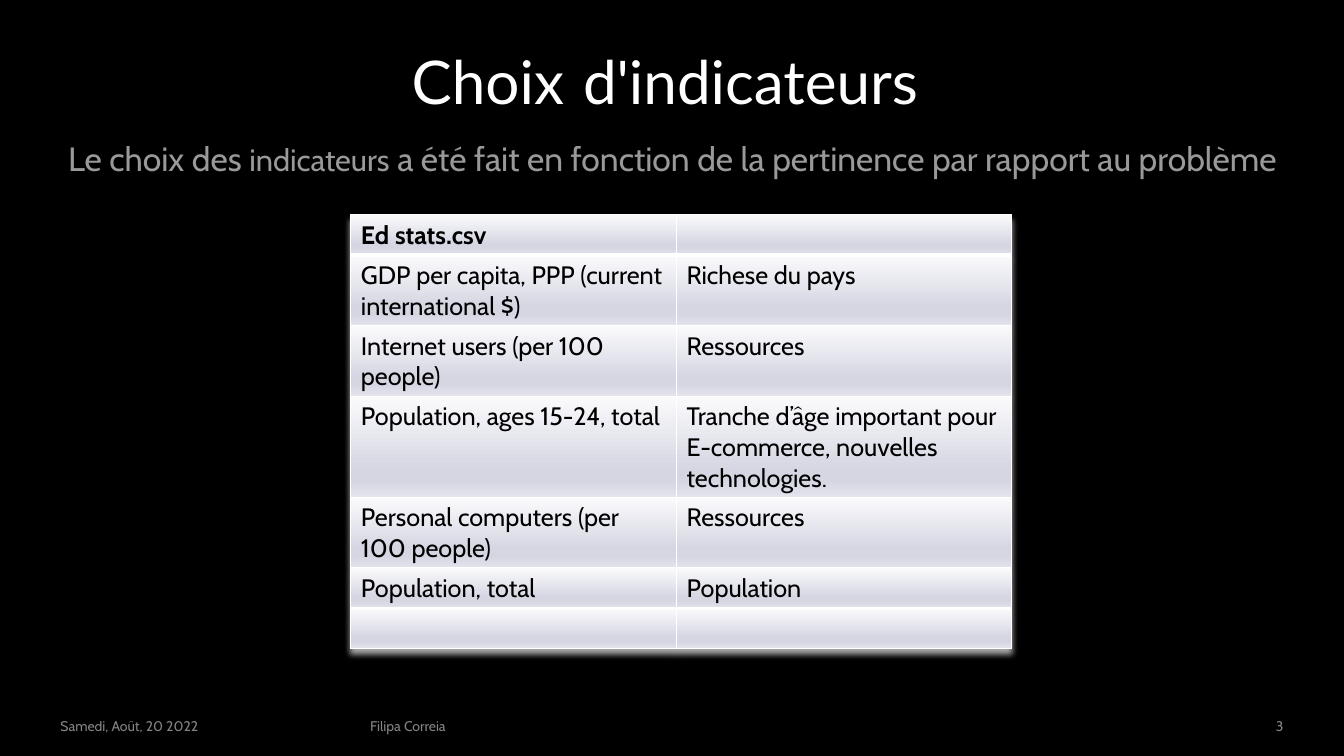
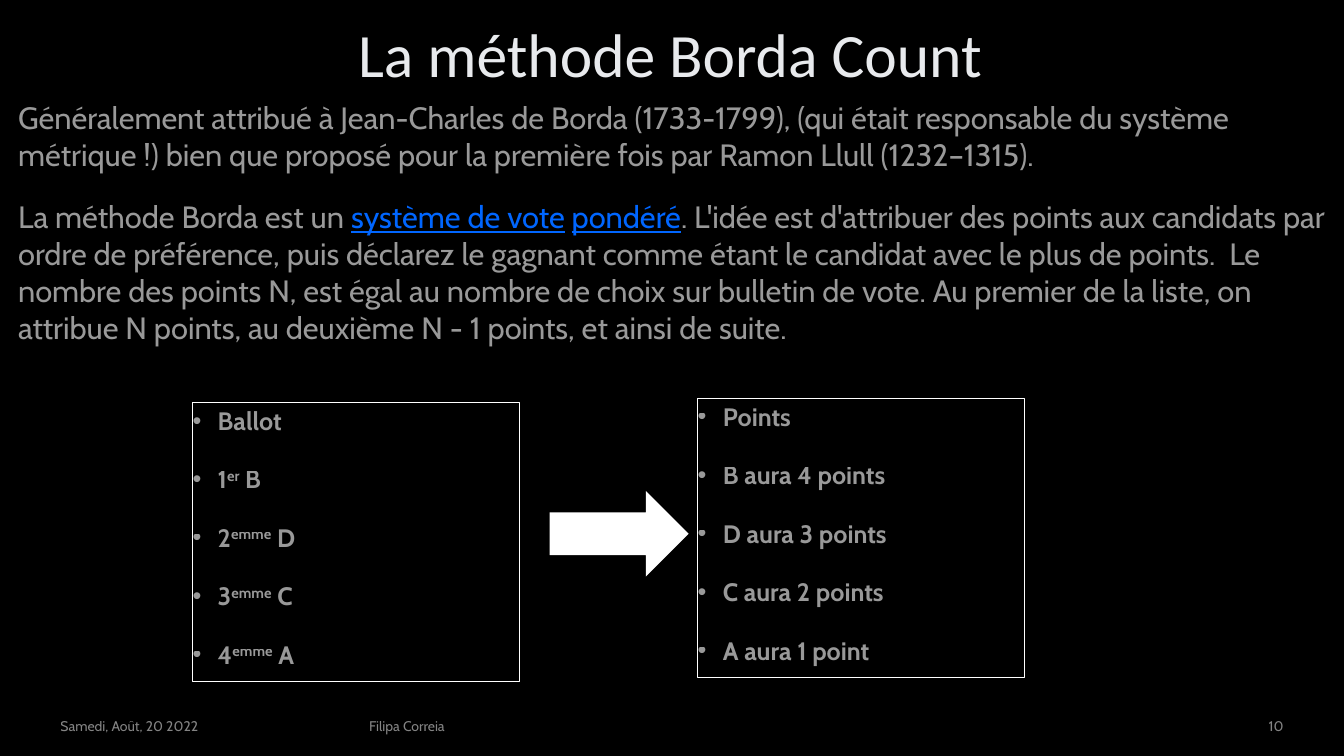
from lxml import etree
from pptx import Presentation
from pptx.dml.color import RGBColor
from pptx.enum.shapes import MSO_SHAPE
from pptx.enum.text import MSO_ANCHOR, PP_ALIGN
from pptx.oxml.ns import qn
from pptx.util import Inches, Pt

LEFT, CENTER, RIGHT = PP_ALIGN.LEFT, PP_ALIGN.CENTER, PP_ALIGN.RIGHT
TOP, MIDDLE, BOTTOM = MSO_ANCHOR.TOP, MSO_ANCHOR.MIDDLE, MSO_ANCHOR.BOTTOM
RECTANGLE, RIGHT_ARROW = MSO_SHAPE.RECTANGLE, MSO_SHAPE.RIGHT_ARROW

BLACK, WHITE, SILVER, LINK_BLUE, PALE = "000000", "FFFFFF", "A6A6A6", "0066FF", "E8EAED"
BODY = {"font": "Cabin", "color": WHITE, "alpha": 60}
INTRO = {**BODY, "size": 22}
LINK = {"font": "Cabin", "color": LINK_BLUE, "size": 22, "underline": True}
BULLET = {**BODY, "size": 18, "bold": True}
RAISED = {**BULLET, "baseline": 30}
CELL = {"font": "Cabin", "color": BLACK, "size": 18}
FOOTER = {"font": "Cabin", "color": SILVER, "alpha": 80, "size": 10}
HEADLINE = {"font": "Lato", "color": WHITE, "size": 43}

DATE, AUTHOR = "Samedi, Août, 20 2022", "Filipa Correia"
FOOTER_TOP, FOOTER_HEIGHT = 7.12, 0.17

INDICATOR_TITLE = [
    ("Choix", HEADLINE),
    (" ", {**HEADLINE, "font": "Calibri", "size": 60}),
    ("d'indicateurs ", HEADLINE),
]
INDICATOR_SUBTITLE = [
    ("Le choix des ", {**BODY, "size": 24}),
    ("indicateurs", INTRO),
    (" a été fait en fonction de la pertinence par rapport au problème", {**BODY, "size": 24}),
]
INDICATORS = [
    ("Ed stats.csv", ""),
    ("GDP per capita, PPP (current international $)", "Richese du pays"),
    ("Internet users (per 100 people)", "Ressources"),
    ("Population, ages 15-24, total",
     "Tranche d’âge important pour E-commerce, nouvelles technologies."),
    ("Personal computers (per 100 people)", "Ressources"),
    ("Population, total", "Population"),
    ("", ""),
]
COLUMN_WIDTHS = [3.23, 3.32]
ROW_HEIGHTS = [0.37, 0.65, 0.65, 0.92, 0.65, 0.37, 0.37]
CELL_GRADIENT = [(0, "FAFAFC"), (74, "D6D6E3"), (83, "D6D6E3"), (100, "E3E3EC")]

BORDA_TITLE = [
    ("La méthode Borda Count", {"font": "Calibri", "color": PALE, "size": 44}),
    (" ", {**HEADLINE, "size": 12}),
]
BORDA_INTRO = [
    [("Généralement attribué à Jean-Charles de Borda (1733-1799), (qui était responsable du "
      "système métrique !) bien que proposé pour la première fois par Ramon Llull "
      "(1232–1315).", INTRO)],
    [("La méthode Borda est un ", INTRO),
     ("système de vote", LINK),
     (" ", INTRO),
     ("pondéré", LINK),
     (". L'idée est d'attribuer des points aux candidats par ordre de préférence, puis "
      "déclarez le gagnant comme étant le candidat avec le plus de points.  Le nombre des "
      "points N, est égal au nombre de choix sur bulletin de vote. Au premier de la liste, "
      "on attribue N points, au deuxième N - 1 points, et ainsi de suite.", INTRO)],
]
RANKS = [("1", "er", "B"), ("2", "emme", "D"), ("3", "emme", "C"), ("4", "emme", "A")]
POINTS = ["Points", "B aura 4 points", "D aura 3 points", "C aura 2 points", "A aura 1 point"]
BALLOT_LINES = [[("Ballot", BULLET)]] + [
    [(rank, BULLET), (suffix, RAISED), (" " + candidate, BULLET)]
    for rank, suffix, candidate in RANKS
]
POINT_LINES = [[(line, BULLET)] for line in POINTS]
PANELS = [(1.91, 3.99, BALLOT_LINES), (6.92, 3.95, POINT_LINES)]
PANEL_SIZE = (3.24, 2.77)


def rgb(value):
    return RGBColor.from_string(value)


def child(parent, tag, **attributes):
    return etree.SubElement(parent, qn(tag), {key: str(value) for key, value in attributes.items()})


def add_color(parent, value, alpha=100):
    color = child(parent, "a:srgbClr", val=value)
    if alpha < 100:
        child(color, "a:alpha", val=alpha * 1000)


def add_run(paragraph, text, style):
    run = paragraph.add_run()
    run.text = text
    run.font.name = style["font"]
    run.font.size = Pt(style["size"])
    run.font.bold = style.get("bold", False)
    run.font.underline = style.get("underline", False)
    run.font.color.rgb = rgb(style["color"])
    properties = run.font._element
    if "alpha" in style:
        color = properties.find(qn("a:solidFill")).find(qn("a:srgbClr"))
        child(color, "a:alpha", val=style["alpha"] * 1000)
    if "baseline" in style:
        properties.set("baseline", str(style["baseline"] * 1000))


def set_bullet(paragraph, indent):
    properties = paragraph._p.get_or_add_pPr()
    properties.set("marL", str(Inches(indent)))
    properties.set("indent", str(-Inches(indent)))
    child(properties, "a:buFont", typeface="Arial")
    child(properties, "a:buChar", char="•")


def fill_text(shape, lines, align=LEFT, anchor=TOP, spacing=None, spaced=False, bulleted=False):
    frame = shape.text_frame
    frame.word_wrap = True
    frame.vertical_anchor = anchor
    frame.margin_left = frame.margin_right = frame.margin_top = frame.margin_bottom = 0
    for index, runs in enumerate(lines):
        paragraph = frame.add_paragraph() if index else frame.paragraphs[0]
        paragraph.alignment = align
        if spacing:
            paragraph.line_spacing = spacing
        if spaced:
            paragraph.space_before, paragraph.space_after = Pt(10), Pt(8)
        if bulleted:
            set_bullet(paragraph, 0.25)
        for text, style in runs:
            add_run(paragraph, text, style)


def add_text(slide, box, lines, **options):
    fill_text(slide.shapes.add_textbox(*map(Inches, box)), lines, **options)


def add_shape(slide, kind, box):
    shape = slide.shapes.add_shape(kind, *map(Inches, box))
    shape.shadow.inherit = False
    return shape


def add_panel(slide, left, top, lines):
    panel = add_shape(slide, RECTANGLE, (left, top, *PANEL_SIZE))
    panel.fill.background()
    panel.line.color.rgb = rgb(WHITE)
    panel.line.width = Pt(0.75)
    fill_text(panel, lines, spacing=1.1, spaced=True, bulleted=True)


def style_cell(cell, is_header):
    properties = cell._tc.get_or_add_tcPr()
    for side in "LRTB":
        width = 3 if is_header and side == "B" or not is_header and side == "T" and False else 1
        border = child(properties, "a:ln" + side, w=Pt(width))
        add_color(child(border, "a:solidFill"), WHITE)
    gradient = child(properties, "a:gradFill", rotWithShape=1)
    stops = child(gradient, "a:gsLst")
    for position, value in CELL_GRADIENT:
        add_color(child(stops, "a:gs", pos=position * 1000), value)
    child(gradient, "a:lin", ang=90 * 60000, scaled=0)


def add_table_shadow(table):
    effects = etree.Element(qn("a:effectLst"))
    shadow = child(effects, "a:outerShdw", blurRad=Pt(4), dist=Pt(4), dir=90 * 60000,
                   algn="ctr", rotWithShape=0)
    add_color(shadow, WHITE, 65)
    table._tbl.tblPr.insert(0, effects)


def add_indicator_table(slide):
    box = (3.48, 2.13, sum(COLUMN_WIDTHS), sum(ROW_HEIGHTS))
    table = slide.shapes.add_table(len(INDICATORS), len(COLUMN_WIDTHS), *map(Inches, box)).table
    table.horz_banding = False
    add_table_shadow(table)
    for column, width in zip(table.columns, COLUMN_WIDTHS):
        column.width = Inches(width)
    for row_index, (row, height, texts) in enumerate(zip(table.rows, ROW_HEIGHTS, INDICATORS)):
        row.height = Inches(height)
        is_header = row_index == 0
        for cell, text in zip(row.cells, texts):
            style_cell(cell, is_header)
            if text:
                add_run(cell.text_frame.paragraphs[0], text, {**CELL, "bold": is_header})


def add_slide(presentation, number, title, title_box, title_anchor, author_left):
    slide = presentation.slides.add_slide(presentation.slide_layouts[6])
    slide.background.fill.solid()
    slide.background.fill.fore_color.rgb = rgb(BLACK)
    add_text(slide, title_box, [title], align=CENTER, anchor=title_anchor)
    footers = [(0.6, 2.88, DATE, LEFT), (author_left, 6.98, AUTHOR, LEFT),
               (10.88, 1.85, str(number), RIGHT)]
    for left, width, text, align in footers:
        add_text(slide, (left, FOOTER_TOP, width, FOOTER_HEIGHT), [[(text, FOOTER)]],
                 align=align, anchor=MIDDLE)
    return slide


def build_indicator_slide(presentation):
    slide = add_slide(presentation, 3, INDICATOR_TITLE, (2.05, 0.16, 9.24, 1.04), BOTTOM, 3.67)
    add_text(slide, (0.51, 1.33, 12.32, 0.96), [INDICATOR_SUBTITLE], align=CENTER, spacing=1.1)
    add_indicator_table(slide)


def build_borda_slide(presentation):
    slide = add_slide(presentation, 10, BORDA_TITLE, (0.6, 0.16, 12.14, 0.73), TOP, 3.66)
    add_text(slide, (0.18, 0.98, 12.97, 2.92), BORDA_INTRO, spaced=True)
    for left, top, lines in PANELS:
        add_panel(slide, left, top, lines)
    arrow = add_shape(slide, RIGHT_ARROW, (5.45, 4.87, 1.38, 0.85))
    arrow.fill.solid()
    arrow.fill.fore_color.rgb = rgb(WHITE)
    arrow.line.fill.background()


def main():
    presentation = Presentation()
    presentation.slide_width, presentation.slide_height = Inches(13.33), Inches(7.5)
    build_indicator_slide(presentation)
    build_borda_slide(presentation)
    presentation.save("out.pptx")


if __name__ == "__main__":
    main()
